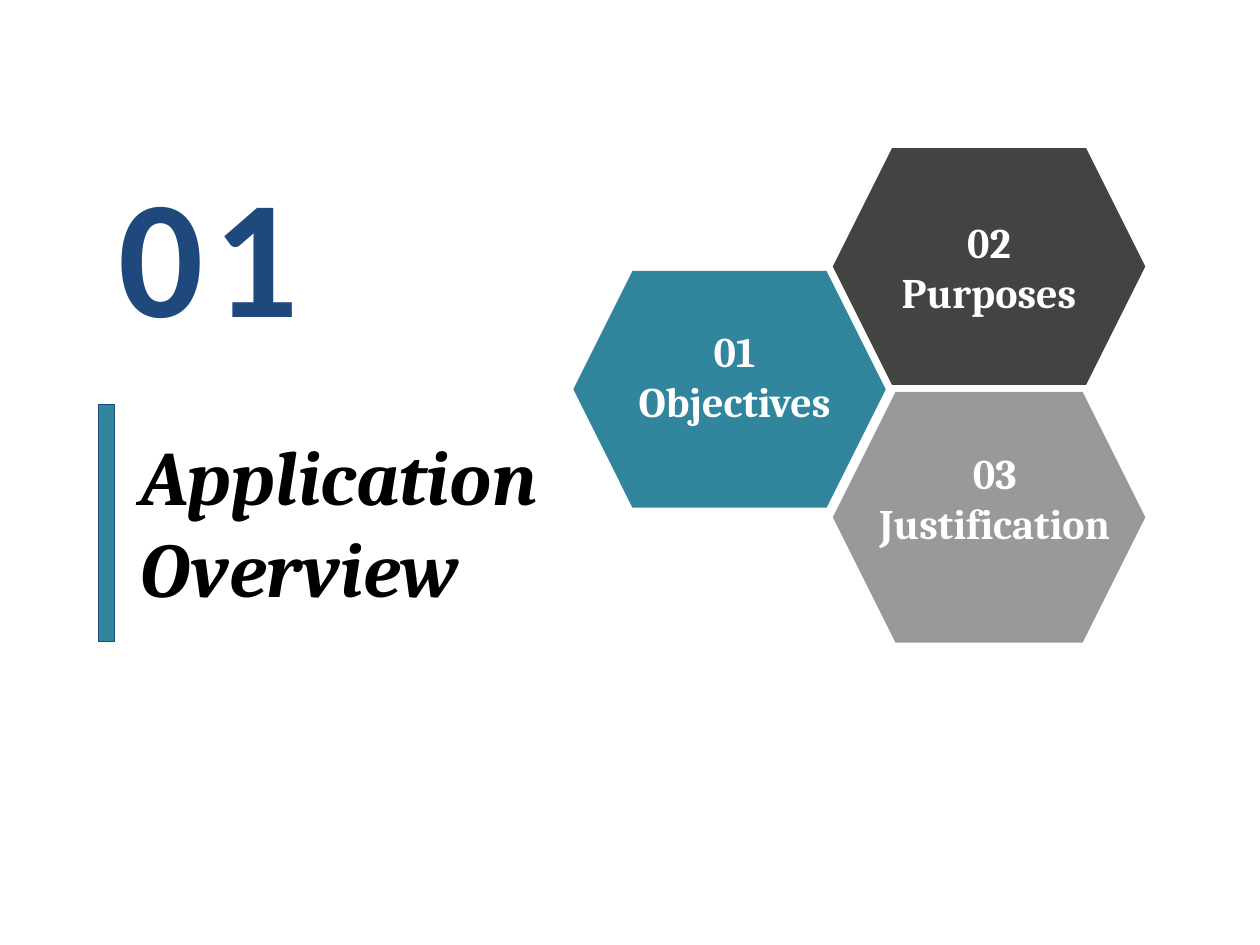
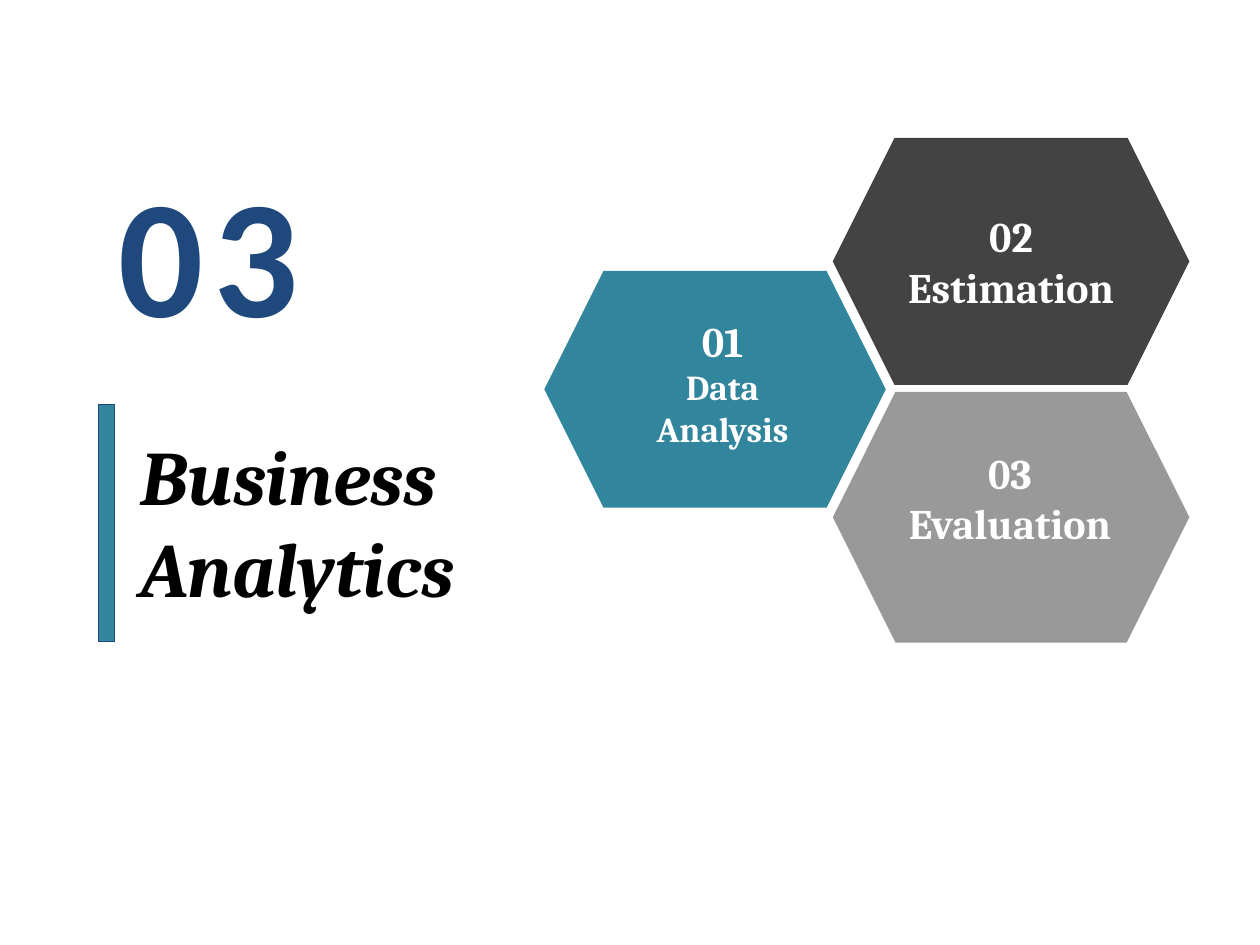
"""Build two section openers, each with a numbered title and three hexagon topics."""
import pptx
import pptx.util
import pptx.dml.color
import pptx.enum.shapes
import pptx.enum.text

NAVY = pptx.dml.color.RGBColor(0x1F, 0x49, 0x7D)
TEAL = pptx.dml.color.RGBColor(0x31, 0x85, 0x9C)
DARK = pptx.dml.color.RGBColor(0x43, 0x43, 0x43)
GREY = pptx.dml.color.RGBColor(0x99, 0x99, 0x99)
WHITE = pptx.dml.color.RGBColor(0xFF, 0xFF, 0xFF)
BLACK = pptx.dml.color.RGBColor(0x00, 0x00, 0x00)
SHAPES = pptx.enum.shapes.MSO_SHAPE
CENTER = pptx.enum.text.PP_ALIGN.CENTER
LEFT = pptx.enum.text.PP_ALIGN.LEFT

prs = pptx.Presentation()
prs.slide_width = pptx.util.Inches(10)
prs.slide_height = pptx.util.Inches(7.5)
COL = prs.slide_width / 100
ROW = prs.slide_height / 75

RIGHT_PAIR_LEFT = 66.1
TEAL_RIGHT = 70.3
DARK_BOTTOM = 30.55
GREY_TOP = 31.1
HEX_HEIGHT = 18.8


def add_block(s, box, kind=None, fill=None):
    left, top, width, height = box
    place = [int(v) for v in (left * COL, top * ROW, width * COL, height * ROW)]
    if kind is None:
        sp = s.shapes.add_textbox(*place)
    else:
        sp = s.shapes.add_shape(kind, *place)
        sp.shadow.inherit = False
        sp.fill.solid()
        sp.fill.fore_color.rgb = fill
        sp.line.fill.background()
    if kind == SHAPES.HEXAGON:
        sp.adjustments[0] = 0.25
    return sp


def add_lines(sp, lines, color, align, italic=False):
    tf = sp.text_frame
    tf.word_wrap = True
    tf.margin_left = tf.margin_right = pptx.util.Inches(0.1)
    tf.margin_top = tf.margin_bottom = pptx.util.Inches(0.1)
    for i, (text, size) in enumerate(lines):
        p = tf.add_paragraph() if i else tf.paragraphs[0]
        p.alignment = align
        r = p.add_run()
        r.text = text
        r.font.name = "Cambria"
        r.font.size = pptx.util.Pt(size)
        r.font.bold = True
        r.font.italic = italic
        r.font.color.rgb = color


sections = [
    dict(number="01", title=["Application", "Overview"],
         teal_width=24.8, pair_width=24.8, dark_height=18.8,
         first=[("01", 24), ("Objectives", 24)], first_box=(49.3, 24.8, 18, 8.2),
         second="Purposes", third="Justification", third_left=68.2),
    dict(number="03", title=["Business", "Analytics"],
         teal_width=27.1, pair_width=28.3, dark_height=19.6,
         first=[("01", 24), ("Data", 20), ("Analysis", 20)],
         first_box=(47.3, 24, 20.1, 8.2),
         second="Estimation", third="Evaluation", third_left=69.4),
]

for section in sections:
    s = prs.slides.add_slide(prs.slide_layouts[6])

    title = add_block(s, (10.2, 33, 37, 15.2))
    add_lines(title, [(line, 44) for line in section["title"]], BLACK, LEFT, italic=True)

    pair_width, dark_height = section["pair_width"], section["dark_height"]
    teal_width = section["teal_width"]
    add_block(s, (RIGHT_PAIR_LEFT, GREY_TOP, pair_width, 19.9), SHAPES.HEXAGON, GREY)
    second = add_block(s, (RIGHT_PAIR_LEFT, DARK_BOTTOM - dark_height, pair_width, dark_height),
                       SHAPES.HEXAGON, DARK)
    add_lines(second, [("02", 24), (section["second"], 24)], WHITE, CENTER)
    add_block(s, (TEAL_RIGHT - teal_width, 21.5, teal_width, HEX_HEIGHT), SHAPES.HEXAGON, TEAL)

    third = add_block(s, (section["third_left"], 34.5, 21.5, 14))
    add_lines(third, [("03", 24), (section["third"], 24)], WHITE, CENTER)
    first = add_block(s, section["first_box"])
    add_lines(first, section["first"], WHITE, CENTER)

    bar = add_block(s, (7.8, 32.1, 1.3, HEX_HEIGHT), SHAPES.RECTANGLE, TEAL)
    bar.line.color.rgb = NAVY
    bar.line.width = pptx.util.Pt(0.75)

    number = add_block(s, (8.4, 11.4, 17.3, 17.2))
    tf = number.text_frame
    tf.word_wrap = False
    tf.auto_size = pptx.enum.text.MSO_AUTO_SIZE.SHAPE_TO_FIT_TEXT
    r = tf.paragraphs[0].add_run()
    r.text = section["number"]
    r.font.name = "Calibri"
    r.font.size = pptx.util.Pt(96)
    r.font.bold = True
    r.font.color.rgb = NAVY
    r._r.get_or_add_rPr().set("spc", "600")

prs.save("out.pptx")
